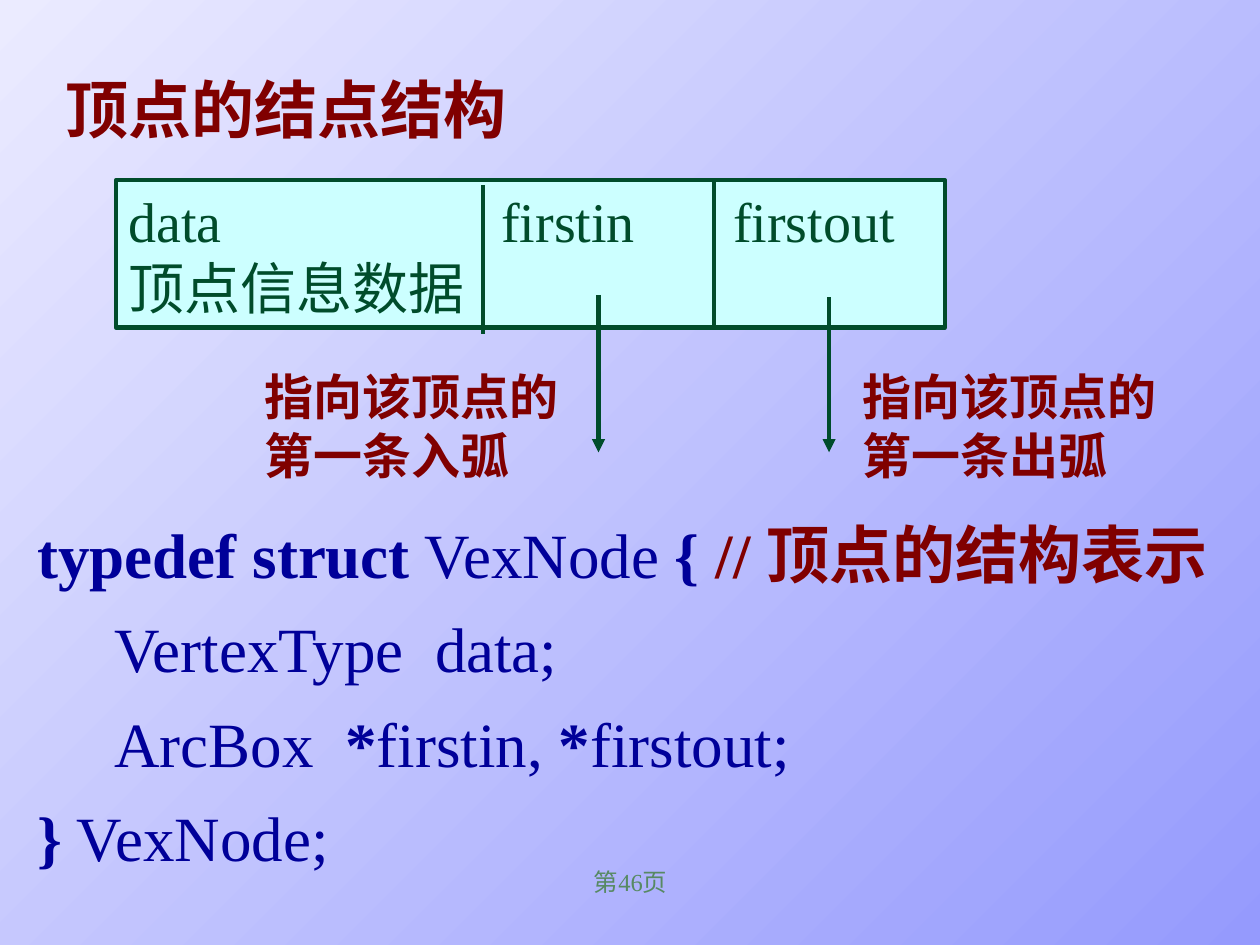
"""Build the slide on the node structure of a vertex in an orthogonal list."""
from dataclasses import dataclass

from lxml.etree import SubElement
from pptx import Presentation
from pptx.dml.color import RGBColor
from pptx.enum.shapes import MSO_CONNECTOR, MSO_SHAPE
from pptx.enum.text import MSO_ANCHOR, MSO_AUTO_SIZE, PP_ALIGN
from pptx.oxml.ns import qn
from pptx.util import Inches, Pt


@dataclass(frozen=True)
class Theme:
    font: str = "Times New Roman"
    heading: str = "800000"
    code: str = "000099"
    outline: str = "004C2B"
    cell: str = "CCFFFF"
    footer: str = "578963"
    background: tuple = ("EBEBFF", "959AFD")
    large: int = 36
    field: int = 32
    note: int = 28
    small: int = 14


THEME = Theme()

TITLE = "顶点的结点结构"
TITLE_BOX = (0.42, 0.51, 3.75, 0.7)
FOOTER = "第46页"
FOOTER_BOX = (3.42, 6.83, 3.17, 0.5)
RECORD_BOX = (0.92, 1.43, 6.58, 1.17)
RECORD_LINES = ["data\tfirstin\tfirstout", "顶点信息数据"]
RECORD_TABS = [2.96, 4.8]
DIVIDERS = [(3.83, 1.47, 2.65), (5.67, 1.44, 2.62)]
ARROWS = [(4.75, 2.34, 3.59), (6.58, 2.36, 3.59)]
NOTES = [(2, "指向该顶点的第一条入弧"), (6.75, "指向该顶点的第一条出弧")]
NOTE_TOP, NOTE_WIDTH, NOTE_HEIGHT = 2.86, 2.58, 1.04
CODE_BOX = (0.2, 3.89, 9.67, 3.1)
CODE_INDENT = 0.61
CODE_LINES = [
    (0, [("typedef struct", True), (" VexNode ", False), ("{ ", True),
         ("// 顶点的结构表示", True, THEME.heading)]),
    (CODE_INDENT, [("VertexType  data;", False)]),
    (CODE_INDENT, [("ArcBox  ", False), ("*", True), ("firstin,", False),
                   (" *", True), ("firstout;", False)]),
    (0, [("}", True), (" VexNode;", False)]),
]


def rgb(value):
    return RGBColor.from_string(value)


def inches(values):
    return [Inches(value) for value in values]


def add_run(paragraph, text, size, color, bold=False):
    run = paragraph.add_run()
    run.text = text
    run.font.name = THEME.font
    run.font.size = Pt(size)
    run.font.bold = bold
    run.font.color.rgb = rgb(color)


def prepare_frame(shape, wrap=True):
    frame = shape.text_frame
    frame.auto_size = MSO_AUTO_SIZE.NONE
    frame.word_wrap = wrap
    frame.vertical_anchor = MSO_ANCHOR.TOP
    return frame


def add_paragraphs(frame, count):
    return [frame.paragraphs[0]] + [frame.add_paragraph() for _ in range(count - 1)]


def add_text(slide, box, text, size, color, bold=False, align=PP_ALIGN.LEFT):
    paragraph = prepare_frame(slide.shapes.add_textbox(*inches(box))).paragraphs[0]
    paragraph.alignment = align
    add_run(paragraph, text, size, color, bold)


def add_title(slide):
    title = slide.shapes.title
    title.left, title.top, title.width, title.height = inches(TITLE_BOX)
    paragraph = prepare_frame(title).paragraphs[0]
    paragraph.alignment = PP_ALIGN.LEFT
    add_run(paragraph, TITLE, THEME.large, THEME.heading, True)


def add_record(slide):
    record = slide.shapes.add_shape(MSO_SHAPE.RECTANGLE, *inches(RECORD_BOX))
    record.shadow.inherit = False
    record.fill.solid()
    record.fill.fore_color.rgb = rgb(THEME.cell)
    record.line.color.rgb = rgb(THEME.outline)
    record.line.width = Pt(2.5)
    paragraphs = add_paragraphs(prepare_frame(record), len(RECORD_LINES))
    for paragraph, text in zip(paragraphs, RECORD_LINES):
        paragraph.alignment = PP_ALIGN.LEFT
        tabs = SubElement(paragraph._p.get_or_add_pPr(), qn("a:tabLst"))
        for stop in RECORD_TABS:
            SubElement(tabs, qn("a:tab"), pos=str(Inches(stop)), algn="l")
        add_run(paragraph, text, THEME.field, THEME.outline)


def add_vertical(slide, x, top, bottom, width, arrow=False):
    connector = slide.shapes.add_connector(
        MSO_CONNECTOR.STRAIGHT, *inches((x, top, x, bottom)))
    connector.line.color.rgb = rgb(THEME.outline)
    connector.line.width = Pt(width)
    if arrow:
        SubElement(connector.line._get_or_add_ln(), qn("a:tailEnd"), type="triangle")
    SubElement(connector._element.spPr, qn("a:effectLst"))


def add_code(slide):
    frame = prepare_frame(slide.shapes.add_textbox(*inches(CODE_BOX)), wrap=False)
    paragraphs = add_paragraphs(frame, len(CODE_LINES))
    for paragraph, (indent, runs) in zip(paragraphs, CODE_LINES):
        paragraph.line_spacing = 1.25
        paragraph.alignment = PP_ALIGN.LEFT
        paragraph._p.get_or_add_pPr().set("marL", str(Inches(indent)))
        for text, bold, *color in runs:
            add_run(paragraph, text, THEME.large, color[0] if color else THEME.code, bold)


def main():
    presentation = Presentation()
    presentation.slide_width, presentation.slide_height = Inches(10), Inches(7.5)
    slide = presentation.slides.add_slide(presentation.slide_layouts[5])
    fill = slide.background.fill
    fill.gradient()
    fill.gradient_angle = 315
    for stop, color in zip(fill.gradient_stops, THEME.background):
        stop.color.rgb = rgb(color)

    add_text(slide, FOOTER_BOX, FOOTER, THEME.small, THEME.footer, align=PP_ALIGN.CENTER)
    add_title(slide)
    add_record(slide)
    for divider in DIVIDERS:
        add_vertical(slide, *divider, width=2.25)
    for arrow in ARROWS:
        add_vertical(slide, *arrow, width=2.5, arrow=True)
    for left, text in NOTES:
        box = (left, NOTE_TOP, NOTE_WIDTH, NOTE_HEIGHT)
        add_text(slide, box, text, THEME.note, THEME.heading, bold=True)
    add_code(slide)
    presentation.save("out.pptx")


if __name__ == "__main__":
    main()
